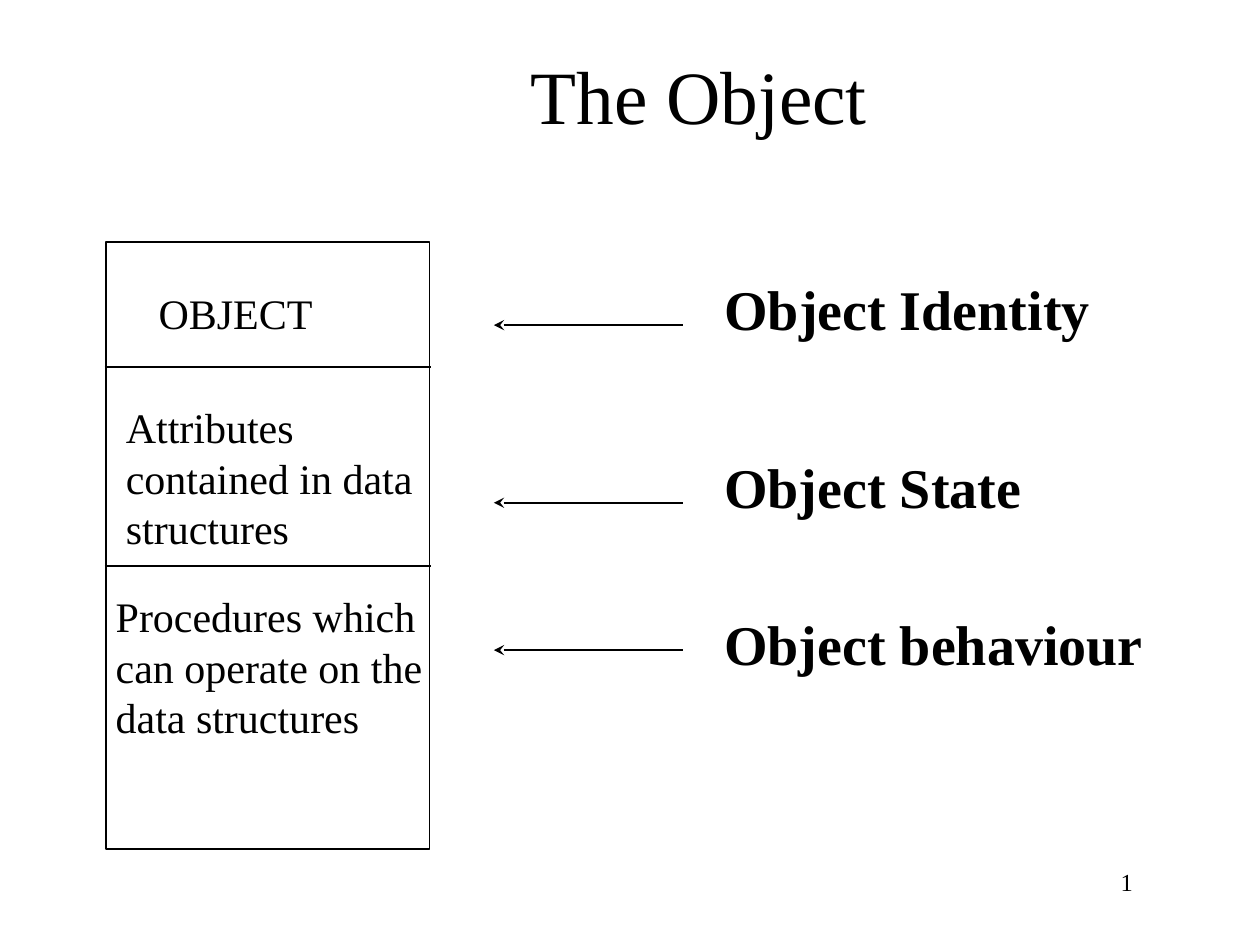
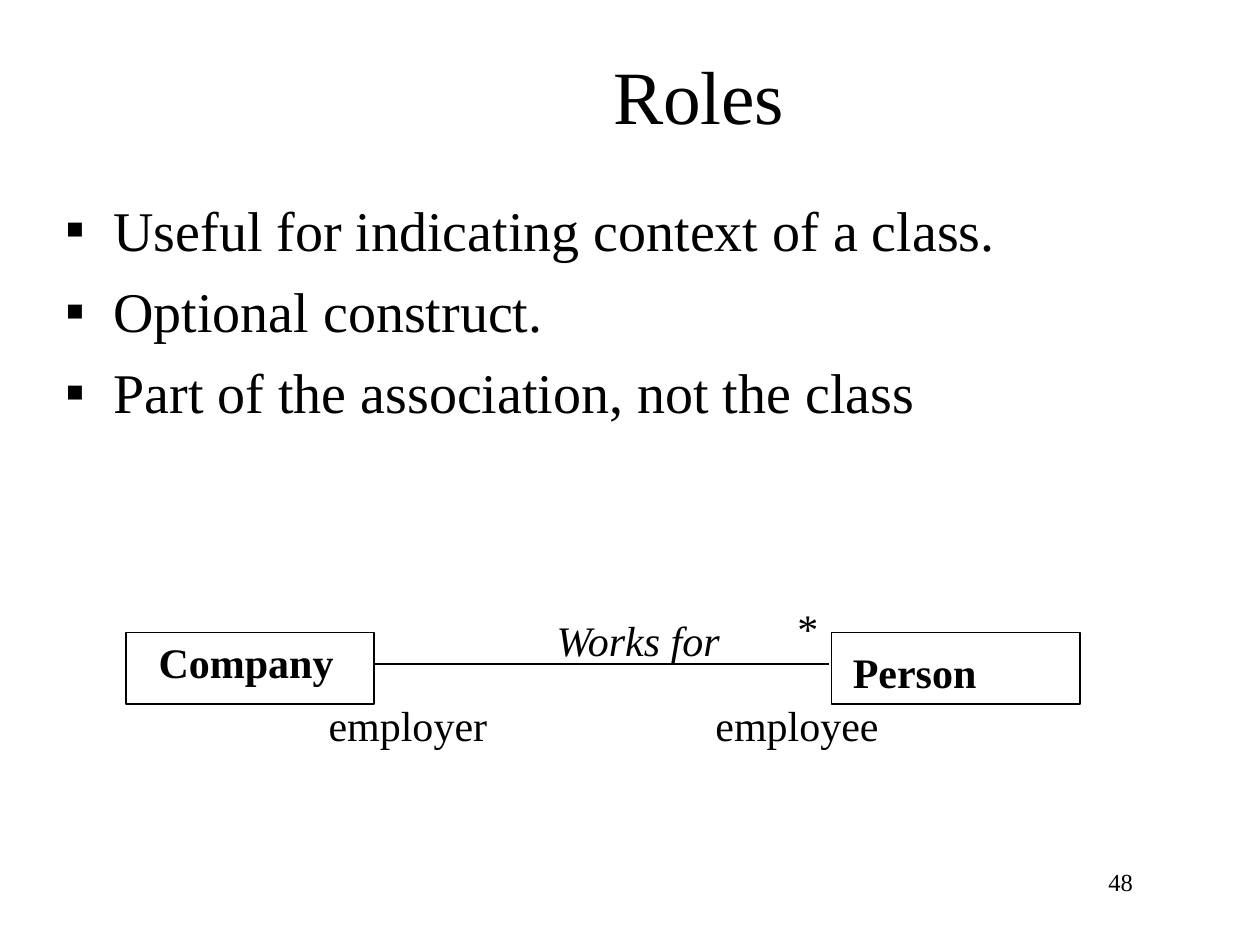
from lxml.etree import SubElement
from pptx import Presentation
from pptx.dml.color import RGBColor
from pptx.enum.shapes import MSO_CONNECTOR, MSO_SHAPE
from pptx.enum.text import MSO_ANCHOR, MSO_AUTO_SIZE, PP_ALIGN
from pptx.oxml.ns import qn
from pptx.util import Inches, Pt

BLACK = RGBColor(0x00, 0x00, 0x00)
WHITE = RGBColor(0xFF, 0xFF, 0xFF)
FONT_NAME = "Times New Roman"
TITLE_SIZE, LARGE_SIZE, LABEL_SIZE, NUMBER_SIZE = 43, 32, 24, 14
COLUMNS, ROWS = 100, 75
TITLE_ONLY, TITLE_AND_BODY = 5, 1
LABEL_HEIGHT, LARGE_HEIGHT, THREE_LINE_HEIGHT = 5, 6.3, 13


class SlideBuilder:
    """Draws black serif elements on the current slide, on a 100 by 75 grid."""

    def __init__(self, presentation):
        self.presentation = presentation
        self.column = presentation.slide_width / COLUMNS
        self.row = presentation.slide_height / ROWS
        self.slide = None

    def grid(self, left, top, width, height):
        return (round(left * self.column), round(top * self.row),
                round(width * self.column), round(height * self.row))

    def start(self, layout, title, number):
        self.slide = self.presentation.slides.add_slide(
            self.presentation.slide_layouts[layout])
        background = self.slide.background.fill
        background.solid()
        background.fore_color.rgb = WHITE
        self.place(self.slide.shapes.title, 14.2, 2.5, 82.5, 10)
        self.fill_text(self.slide.shapes.title.text_frame, [title], TITLE_SIZE,
                       PP_ALIGN.CENTER, MSO_ANCHOR.MIDDLE)
        self.label(str(number), 71.7, 68.3, 19.2, 5.2, NUMBER_SIZE,
                   PP_ALIGN.RIGHT, wrap=True)

    def place(self, shape, *box):
        for name, value in zip(("left", "top", "width", "height"), self.grid(*box)):
            setattr(shape, name, value)

    def fill_text(self, frame, lines, size, alignment=PP_ALIGN.LEFT,
                  anchor=MSO_ANCHOR.TOP, wrap=True, bullet=None, **emphasis):
        frame_format = {
            "word_wrap": wrap,
            "auto_size": MSO_AUTO_SIZE.NONE if wrap else MSO_AUTO_SIZE.SHAPE_TO_FIT_TEXT,
            "vertical_anchor": anchor,
        }
        font_format = {"name": FONT_NAME, "size": Pt(size), **emphasis}
        for name, value in frame_format.items():
            setattr(frame, name, value)
        frame.text = "\n".join(lines)
        for index, paragraph in enumerate(frame.paragraphs):
            if bullet:
                self.add_bullet(paragraph, bullet)
            paragraph.alignment = alignment
            paragraph.space_before = Pt(8 if bullet and index else 0)
            font = paragraph.runs[0].font
            font.color.rgb = BLACK
            for name, value in font_format.items():
                setattr(font, name, value)

    def add_bullet(self, paragraph, character):
        properties = paragraph._p.get_or_add_pPr()
        indent = Inches(0.38)
        properties.set("marL", str(indent))
        properties.set("indent", str(-indent))
        color = SubElement(properties, qn("a:buClr"))
        SubElement(color, qn("a:srgbClr"), val=str(BLACK))
        SubElement(properties, qn("a:buFont"), typeface=FONT_NAME)
        SubElement(properties, qn("a:buChar"), char=character)

    def bullets(self, lines, *box):
        body = self.slide.placeholders[1]
        self.place(body, *box)
        self.fill_text(body.text_frame, lines, LARGE_SIZE, bullet="▪")

    def label(self, text, left, top, width, height=LABEL_HEIGHT, size=LABEL_SIZE,
              alignment=PP_ALIGN.LEFT, wrap=False, **emphasis):
        box = self.slide.shapes.add_textbox(*self.grid(left, top, width, height))
        self.fill_text(box.text_frame, text.split("\n"), size, alignment, wrap=wrap,
                       **emphasis)

    def outline(self, line):
        line.color.rgb = BLACK
        line.width = Pt(1)

    def rectangle(self, *box):
        shape = self.slide.shapes.add_shape(MSO_SHAPE.RECTANGLE, *self.grid(*box))
        shape.shadow.inherit = False
        shape.fill.background()
        self.outline(shape.line)

    def horizontal_line(self, left, right, top, arrow=False):
        x, y, width, _ = self.grid(left, top, right - left, 0)
        connector = self.slide.shapes.add_connector(
            MSO_CONNECTOR.STRAIGHT, x, y, x + width, y)
        self.outline(connector.line)
        properties = connector._element.spPr
        if arrow:
            SubElement(properties.find(qn("a:ln")), qn("a:headEnd"), type="stealth")
        SubElement(properties, qn("a:effectLst"))


def build_object_slide(builder):
    builder.start(TITLE_ONLY, "The Object", 1)
    builder.rectangle(8.4, 19.2, 25.7, 48.2)
    for divider_top in (29.1, 44.9):
        builder.horizontal_line(8.3, 34.2, divider_top)

    builder.label("OBJECT", 11.6, 22.3, 14.2)
    builder.label("Attributes\ncontained in data\nstructures",
                  9, 31.4, 24.8, THREE_LINE_HEIGHT)
    builder.label("Procedures which\ncan operate on the\ndata structures",
                  8.2, 46.4, 26.4, THREE_LINE_HEIGHT)

    aspects = [("Object Identity", 21.3, 31.1, 25.8),
               ("Object State", 35.4, 25.6, 39.9),
               ("Object behaviour", 47.9, 35.3, 51.6)]
    for aspect, top, width, arrow_top in aspects:
        builder.label(aspect, 56.5, top, width, LARGE_HEIGHT, LARGE_SIZE, bold=True)
        builder.horizontal_line(39.2, 54.2, arrow_top, arrow=True)


def build_roles_slide(builder):
    builder.start(TITLE_AND_BODY, "Roles", 48)
    builder.bullets(["Useful for indicating context of a class.",
                     "Optional construct.",
                     "Part of the association, not the class"],
                    4.2, 15, 95.8, 26)
    for class_left in (10, 66):
        builder.rectangle(class_left, 50.2, 19.7, 5.7)
    builder.horizontal_line(29.8, 65.8, 52.7)

    builder.label("Works for", 43.2, 48.3, 15.3, italic=True)
    builder.label("Company", 11.6, 50, 15.9, bold=True)
    builder.label("Person", 66.7, 50.8, 11.8, bold=True)
    builder.label("employer", 25.1, 55, 14.6)
    builder.label("employee", 55.8, 55, 15)
    builder.label("*", 62.3, 47.3, 3.6)


def main():
    presentation = Presentation()
    presentation.slide_width = Inches(10)
    presentation.slide_height = Inches(7.5)
    builder = SlideBuilder(presentation)
    build_object_slide(builder)
    build_roles_slide(builder)
    presentation.save("out.pptx")


if __name__ == "__main__":
    main()
